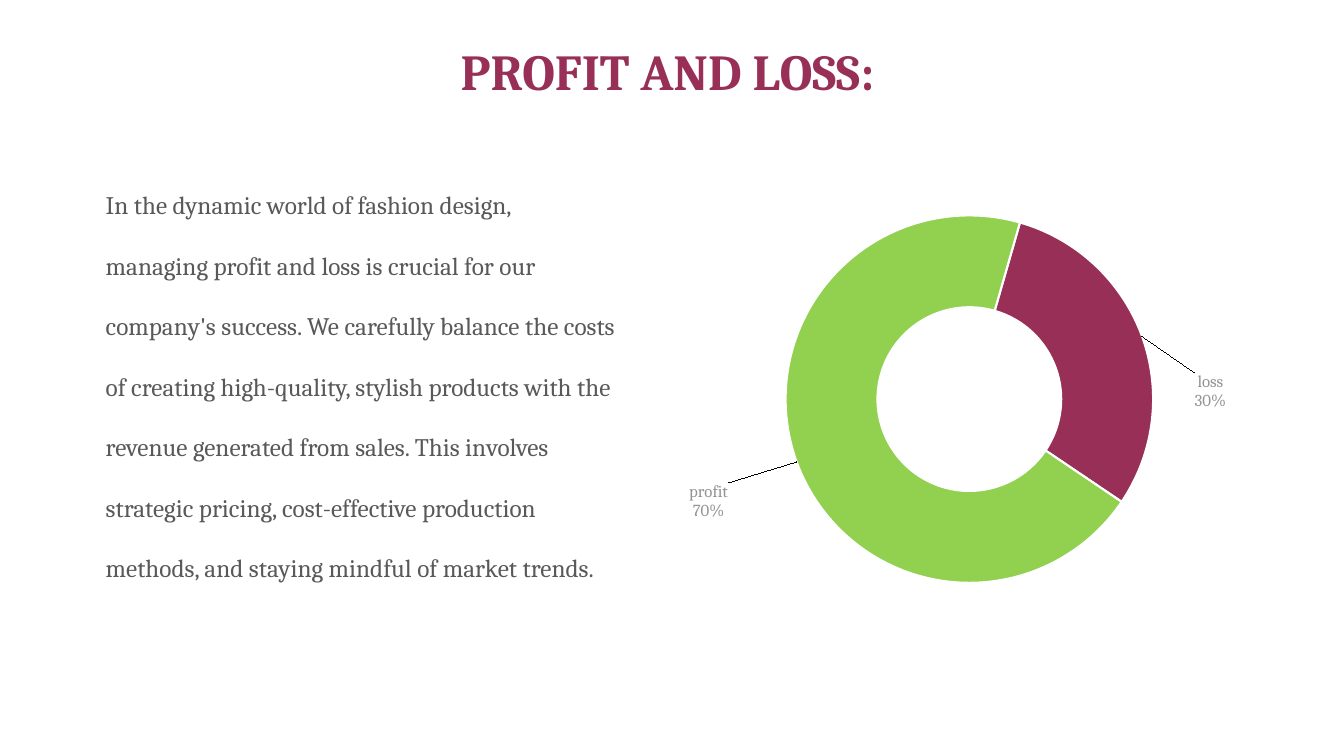
from copy import deepcopy

from pptx import Presentation
from pptx.chart.data import CategoryChartData
from pptx.dml.color import RGBColor
from pptx.enum.chart import XL_CHART_TYPE
from pptx.enum.text import MSO_ANCHOR, PP_ALIGN
from pptx.oxml import parse_xml
from pptx.oxml.ns import nsdecls, qn
from pptx.util import Inches, Pt

COLORS = {"plum": "972F57", "green": "92D050", "text": "595959", "label": "939393", "white": "FFFFFF"}
FONT = "Cambria"
BODY = (
    "In the dynamic world of fashion design, managing profit and loss is crucial for our company's success. "
    "We carefully balance the costs of creating high-quality, stylish products with the revenue generated "
    "from sales. This involves strategic pricing, cost-effective production methods, and staying mindful "
    "of market trends."
)
SHARES = [("loss", 0.3, "plum", (0.17, 0.1)), ("profit", 0.7, "green", (-0.2, 0.14))]


def layout_xml(extra="", **values):
    fields = "".join(f'<c:{name} val="{value}"/>' for name, value in values.items())
    return f"<c:layout {nsdecls('c')}><c:manualLayout>{extra}{fields}</c:manualLayout></c:layout>"


class SlideBuilder:
    def __init__(self, presentation):
        self.slide = presentation.slides.add_slide(presentation.slide_layouts[5])

    def style(self, font, size, color, bold=False):
        font.name = FONT
        font.size = Pt(size)
        font.bold = bold
        font.color.rgb = RGBColor.from_string(COLORS[color])

    def place(self, shape, box):
        shape.left, shape.top, shape.width, shape.height = map(Inches, box)

    def title(self, text, box):
        shape = self.slide.shapes.title
        self.place(shape, box)
        shape.text_frame.text = text
        shape.text_frame.vertical_anchor = MSO_ANCHOR.BOTTOM
        paragraph = shape.text_frame.paragraphs[0]
        paragraph.alignment = PP_ALIGN.CENTER
        paragraph.line_spacing = 0.9
        self.style(paragraph.font, 36, "plum", True)

    def text(self, text, box):
        frame = self.slide.shapes.add_textbox(*map(Inches, box)).text_frame
        frame.word_wrap = True
        frame.text = text
        paragraph = frame.paragraphs[0]
        paragraph.line_spacing = 2
        self.style(paragraph.font, 18, "text")

    def doughnut(self, shares, box):
        data = CategoryChartData(number_format="0%")
        data.categories = [name for name, *_ in shares]
        data.add_series("Series 1", [value for _, value, *_ in shares])
        chart = self.slide.shapes.add_chart(XL_CHART_TYPE.DOUGHNUT, *map(Inches, box), data).chart
        chart.has_legend = False
        chart.has_title = False
        self.style(chart.font, 10, "text")
        plot = chart.plots[0]
        plot.vary_by_categories = True
        series = plot.series[0]
        for index, (_, _, color, _) in enumerate(shares):
            point_format = series.points[index].format
            point_format.fill.solid()
            point_format.fill.fore_color.rgb = RGBColor.from_string(COLORS[color])
            point_format.line.color.rgb = RGBColor.from_string(COLORS["white"])
            point_format.line.width = Pt(1.5)
        self.ring_layout(chart, box)
        self.ring_labels(series.data_labels, shares)

    def ring_layout(self, chart, box):
        area = chart.element.find(".//" + qn("c:plotArea"))
        for layout in area.findall(qn("c:layout")):
            area.remove(layout)
        height = 0.93
        width = round(height * box[3] / box[2], 2)
        target = '<c:layoutTarget val="inner"/><c:xMode val="edge"/><c:yMode val="edge"/>'
        area.insert(0, parse_xml(layout_xml(target, x=(1 - width) / 2, y=(1 - height) / 2, w=width, h=height)))
        area.find(".//" + qn("c:firstSliceAng")).set("val", "16")
        area.find(".//" + qn("c:holeSize")).set("val", "88")

    def ring_labels(self, labels, shares):
        labels.show_value = False
        labels.show_category_name = True
        labels.show_percentage = True
        labels.number_format = "0%"
        labels.number_format_is_linked = False
        self.style(labels.font, 12, "label")
        element = labels._element
        separator = parse_xml(f"<c:separator {nsdecls('c')}>\n</c:separator>")
        element.find(qn("c:showBubbleSize")).addnext(separator)
        shared = [child for child in element if child.tag != qn("c:showLeaderLines")]
        for index, (*_, (x, y)) in enumerate(shares):
            label = parse_xml(f'<c:dLbl {nsdecls("c")}><c:idx val="{index}"/>{layout_xml(x=x, y=y)}</c:dLbl>')
            label.extend(deepcopy(shared))
            element.insert(index, label)


def main():
    presentation = Presentation()
    presentation.slide_width = Inches(13.33)
    presentation.slide_height = Inches(7.5)
    builder = SlideBuilder(presentation)
    builder.title("PROFIT AND LOSS:", (1.12, 0.25, 11, 0.81))
    builder.doughnut(SHARES, (6.36, 1.99, 6.51, 3.94))
    builder.text(BODY, (0.95, 1.53, 5.28, 4.85))
    presentation.save("out.pptx")


if __name__ == "__main__":
    main()
